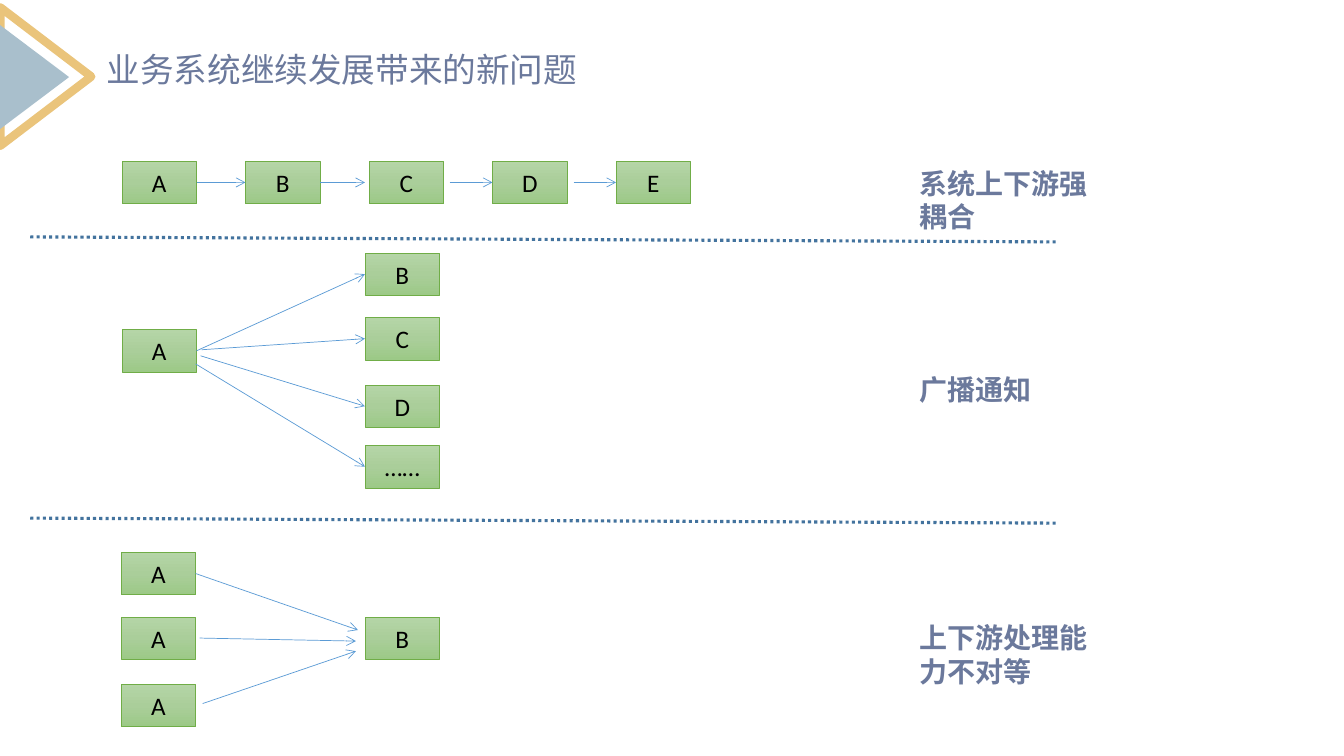
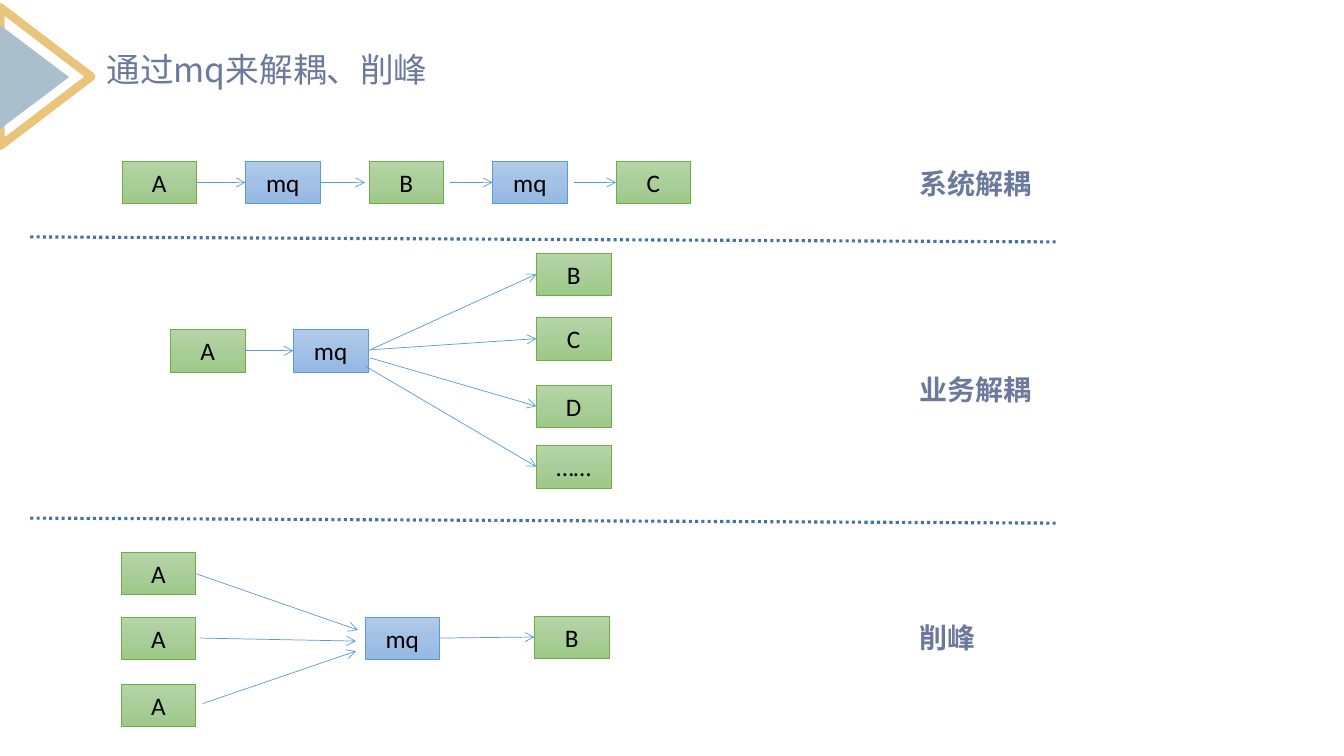
from copy import deepcopy

from lxml import etree
from pptx import Presentation
from pptx.dml.color import RGBColor
from pptx.enum.dml import MSO_LINE
from pptx.enum.shapes import MSO_CONNECTOR, MSO_SHAPE
from pptx.enum.text import MSO_ANCHOR, MSO_AUTO_SIZE, PP_ALIGN
from pptx.oxml.ns import qn
from pptx.util import Emu, Pt

PROCESS = MSO_SHAPE.FLOWCHART_PROCESS
TRIANGLE = MSO_SHAPE.ISOSCELES_TRIANGLE
STRAIGHT = MSO_CONNECTOR.STRAIGHT
DOTTED = MSO_LINE.ROUND_DOT
MIDDLE = MSO_ANCHOR.MIDDLE
FIT = MSO_AUTO_SIZE.SHAPE_TO_FIT_TEXT
LEFT, CENTER = PP_ALIGN.LEFT, PP_ALIGN.CENTER

EMU_PER_PX = 9144  # 100 px to the inch
COLORS = {
    "heading": "6B799C", "node_text": "000000",
    "gold": "EAC47B", "mist": "A9BFCC",
    "arrow": "5B9BD5", "divider": "43739E",
}
NODE_STYLES = {
    "system": {"stops": ("B5D5A7", "AACE9A", "9CC987"), "line": "70AD47"},
    "mq": {"stops": ("B1CBE9", "A3C1E5", "93B9E4"), "line": "5B9BD5"},
}
HEADING_FONT, NODE_FONT = "Noto Sans CJK SC", "Calibri"

# Shared layout
NODE_W, NODE_H = 74, 42
CHAIN_LEFT, CHAIN_TOP, CHAIN_PITCH = 121, 160, 122.5
CHAIN_ARROWS = [(x1, 181, x2, 181)
                for x1, x2 in ((195, 244), (319, 362), (446, 489), (569, 611))]
FAN_TOPS = (251, 315, 382, 442)
FAN_NAMES = ("B", "C", "D", "……")
FAN_SOURCE_TOP = 327
SENDERS = [("A", 120, top) for top in (548, 612, 679)]
SENDER_ARROWS = [(194, 569, 355, 625), (198, 633, 353, 636), (201, 698, 353, 646)]
RECEIVER = (362, 612)
DIVIDER_TOPS = (235, 514)
LABEL_TOPS = (160, 365, 611)
JOIN_REACH = 2

# Content: extra nodes are (name, left, top), arrows are (x1, y1, x2, y2)
SLIDES = [
    {
        "title": "业务系统继续发展带来的新问题",
        "labels": [("系统上下游强耦合", 77), ("广播通知", 44), ("上下游处理能力不对等", 77)],
        "chain": ["A", "B", "C", "D", "E"],
        "fan_left": 362,
        "nodes": [("A", 121, FAN_SOURCE_TOP), ("B", *RECEIVER)],
        "arrows": [(195, 347, 362, 271), (200, 347, 362, 337),
                   (199, 353, 362, 402), (194, 361, 362, 462)],
    },
    {
        "title": "通过mq来解耦、削峰",
        "labels": [("系统解耦", 44), ("业务解耦", 44), ("削峰", 44)],
        "chain": ["A", "mq", "B", "mq", "C"],
        "fan_left": 532,
        "nodes": [("A", 169, FAN_SOURCE_TOP), ("mq", 291, FAN_SOURCE_TOP),
                  ("mq", *RECEIVER), ("B", 530, 611)],
        "arrows": [(243, 348, 291, 348), (365, 348, 532, 272), (368, 347, 530, 337),
                   (367, 355, 530, 403), (362, 363, 530, 463), (436, 635, 530, 632)],
    },
]


def px(*lengths):
    return [Emu(round(length * EMU_PER_PX)) for length in lengths]


def rgb(hex_color):
    return RGBColor.from_string(hex_color)


def write(frame, text, size, color, font, bold=False, align=LEFT):
    frame.word_wrap = True
    paragraph = frame.paragraphs[0]
    paragraph.alignment = align
    run = paragraph.add_run()
    run.text = text
    run.font.size, run.font.bold, run.font.name = Pt(size), bold, font
    run.font.color.rgb = rgb(color)
    east_asian = etree.SubElement(run.font._element, qn("a:ea"))
    east_asian.set("typeface", font)


def add_heading(slide, text, left, top, width, height, size, bold=False):
    frame = slide.shapes.add_textbox(*px(left, top, width, height)).text_frame
    write(frame, text, size, COLORS["heading"], HEADING_FONT, bold)
    frame.auto_size = FIT


def add_triangle(slide, left, top, width, height, fill=None, line=None):
    triangle = slide.shapes.add_shape(TRIANGLE, *px(left, top, width, height))
    triangle.rotation = 90
    triangle.shadow.inherit = False
    if fill:
        triangle.fill.solid()
        triangle.fill.fore_color.rgb = rgb(fill)
    else:
        triangle.fill.background()
    if line:
        triangle.line.color.rgb = rgb(line)
        triangle.line.width = Pt(6)
    else:
        triangle.line.fill.background()


def add_node(slide, name, left, top):
    style = NODE_STYLES["mq" if name == "mq" else "system"]
    node = slide.shapes.add_shape(PROCESS, *px(left, top, NODE_W, NODE_H))
    node.shadow.inherit = False
    node.fill.gradient()
    node.fill.gradient_angle = 270
    stop_list = node.element.spPr.find(qn("a:gradFill")).find(qn("a:gsLst"))
    stop_list.insert(1, deepcopy(stop_list[0]))
    for i, (stop, color) in enumerate(zip(node.fill.gradient_stops, style["stops"])):
        stop.position = i / 2
        stop.color.rgb = rgb(color)
    node.line.color.rgb = rgb(style["line"])
    node.line.width = Pt(0.5)
    node.text_frame.vertical_anchor = MIDDLE
    write(node.text_frame, name, 18, COLORS["node_text"], NODE_FONT, align=CENTER)
    return node, left, top + NODE_H / 2


def add_line(slide, ends, color, width):
    line = slide.shapes.add_connector(STRAIGHT, *px(*ends))
    line.line.color.rgb = rgb(color)
    line.line.width = Pt(width)
    etree.SubElement(line.element.spPr, qn("a:effectLst"))
    return line


def add_arrow(slide, ends, nodes):
    arrow = add_line(slide, ends, COLORS["arrow"], 0.5)
    head = etree.SubElement(arrow.element.spPr.find(qn("a:ln")), qn("a:tailEnd"))
    head.set("type", "arrow")
    x1, y1, x2, y2 = ends
    # Join an end that meets the middle of a node's side
    for node, left, middle in nodes:
        if abs(x1 - left - NODE_W) <= JOIN_REACH and abs(y1 - middle) <= JOIN_REACH:
            arrow.begin_connect(node, 3)
        if abs(x2 - left) <= JOIN_REACH and abs(y2 - middle) <= JOIN_REACH:
            arrow.end_connect(node, 1)


def build_slide(deck, content):
    slide = deck.slides.add_slide(deck.slide_layouts[6])

    # Corner ornament, title and section labels
    add_triangle(slide, -23, 31, 137, 90, line=COLORS["gold"])
    add_triangle(slide, -18, 42, 104, 69, fill=COLORS["mist"])
    add_heading(slide, content["title"], 96, 44, 516, 50, 24)
    for (label, height), top in zip(content["labels"], LABEL_TOPS):
        add_heading(slide, label, 902, top, 189, height, 20, bold=True)

    # Dividers
    for top in DIVIDER_TOPS:
        divider = add_line(slide, (30, top, 1047, top + 5), COLORS["divider"], 2.25)
        divider.line.dash_style = DOTTED

    # Nodes: chain, fan-out, senders and the rest
    chain = [(name, CHAIN_LEFT + i * CHAIN_PITCH, CHAIN_TOP)
             for i, name in enumerate(content["chain"])]
    fan = [(name, content["fan_left"], top) for name, top in zip(FAN_NAMES, FAN_TOPS)]
    nodes = [add_node(slide, *place)
             for place in chain + fan + SENDERS + content["nodes"]]

    # Arrows
    for ends in CHAIN_ARROWS + content["arrows"] + SENDER_ARROWS:
        add_arrow(slide, ends, nodes)


def main():
    deck = Presentation()
    deck.slide_width, deck.slide_height = px(1333, 750)
    for content in SLIDES:
        build_slide(deck, content)
    deck.save("out.pptx")


if __name__ == "__main__":
    main()
